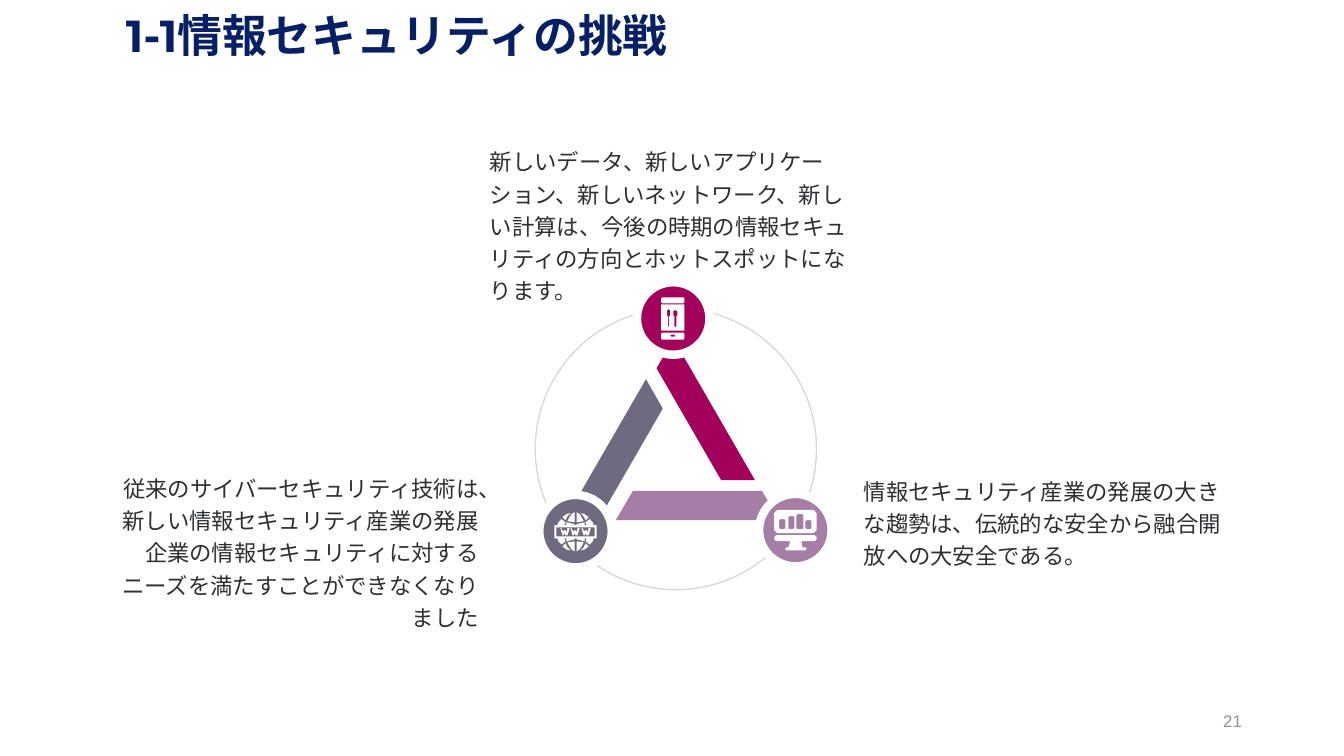
from pptx import Presentation
from pptx import util as u
from pptx.dml.color import RGBColor
from pptx.enum import lang, shapes, text

TITLE = "1-1情報セキュリティの挑戦"
PAGE = "21"
NOTES = [
    ("情報セキュリティ産業の発展の大きな趨勢は、伝統的な安全から融合開放への大安全である。", 617, 353.5, "left"),
    ("従来のサイバーセキュリティ技術は、新しい情報セキュリティ産業の発展企業の情報セキュリティに対するニーズを満たすことができなくなりました", 82.8, 374.4, "right"),
    ("新しいデータ、新しいアプリケーション、新しいネットワーク、新しい計算は、今後の時期の情報セキュリティの方向とホットスポットになります。", 349.9, 141.1, "left"),
]
THEME = {
    "title": "071F65", "body": "2E2F31", "page": "929393", "ring": "D9D9D9", "white": "FFFFFF",
    "crimson": "A3005B", "mauve": "A57DA5", "slate": "706A80",
    "title_font": "Montserrat", "body_font": "Arial",
    "title_size": 32, "body_size": 16, "page_size": 12,
}
BARS = [(442.8, 287.3, 240, "crimson"), (439.9, 350.6, 0, "mauve"), (383, 316.1, 120, "slate")]
BAR_SIZE = (116.6, 20.9)
NODE_SIZE = 51.8
ICON_UNIT = 0.72


def box(x, y, width, height, cut=1):
    right, bottom = x + width, y + height
    return [(x + cut, y), (right - cut, y), (right, y + cut), (right, bottom - cut),
            (right - cut, bottom), (x + cut, bottom), (x, bottom - cut), (x, y + cut)]


def phone_icon():
    return [box(0, 0, 23, 6), box(0, 7, 23, 26, 0), box(0, 35, 23, 7), box(9, 37, 5, 2),
            box(6, 12, 3, 7), box(7, 19, 1, 10, 0), box(12, 13, 4, 6), box(13, 19, 2, 10, 0)]


def globe_icon():
    quarter = [
        [(22, 0), (25, 2), (27, 5), (29, 9), (22, 10)],
        [(26, 1), (30, 2), (34, 5), (31, 8), (29, 4)],
        [(22, 12), (30, 10), (30, 13), (22, 13)],
        [(31, 10), (35, 7), (38, 10), (39, 13), (32, 13)],
    ]
    letter = [(1, 0), (3, 4), (3, 2), (5, 2), (6, 4), (7, 0), (9, 0),
              (7, 7), (5, 7), (4, 5), (3, 7), (2, 7), (0, 0)]
    panels = [[(42 - x if flip_x else x, 39 - y if flip_y else y) for x, y in panel]
              for flip_x in (False, True) for flip_y in (False, True) for panel in quarter]
    letters = [[(left + x, 16 + y) for x, y in letter] for left in (6, 16, 27)]
    return panels + [box(0, 13, 42, 13, 0), box(2, 15, 38, 9, 0)] + letters


def monitor_icon():
    columns = [box(5, 9, 6, 10), box(14, 6, 6, 13), box(22, 4, 7, 15), box(31, 10, 6, 9)]
    stand = [(16, 31), (27, 31), (28, 37), (31, 37), (32, 38), (32, 39), (31, 40),
             (12, 40), (11, 39), (11, 38), (12, 37), (14, 37)]
    return [box(0, 0, 42, 23, 3)] + columns + [box(0, 25, 42, 6, 2), stand]


NODES = [
    (455, 201.6, "crimson", phone_icon(), 472.3, 212.4),
    (385.2, 353.5, "slate", globe_icon(), 396, 365.8),
    (542.2, 352.8, "mauve", monitor_icon(), 553, 364.3),
]


def color(name):
    return RGBColor.from_string(THEME[name])


def add_text(slide, content, x, y, width, height, *, size, ink, font="body_font", bold=False,
             align="left", anchor="middle", spacing=None, inset=None):
    shape = slide.shapes.add_textbox(u.Pt(x), u.Pt(y), u.Pt(width), u.Pt(height))
    frame = shape.text_frame
    frame.word_wrap = True
    frame.vertical_anchor = text.MSO_ANCHOR[anchor.upper()]
    if inset is not None:
        frame.margin_left = frame.margin_right = u.Pt(inset)
        frame.margin_top = frame.margin_bottom = u.Pt(inset)
    paragraph = frame.paragraphs[0]
    paragraph.alignment = text.PP_ALIGN[align.upper()]
    if spacing:
        paragraph.line_spacing = spacing
    run = paragraph.add_run()
    run.text = content
    run.font.name = THEME[font]
    run.font.size = u.Pt(THEME[size])
    run.font.bold = bold
    run.font.color.rgb = color(ink)
    run.font.language_id = lang.MSO_LANGUAGE_ID.JAPANESE


def paint(shape, fill=None, line=None, weight=0):
    shape.shadow.inherit = False
    if fill:
        shape.fill.solid()
        shape.fill.fore_color.rgb = color(fill)
    else:
        shape.fill.background()
    if line:
        shape.line.color.rgb = color(line)
        shape.line.width = u.Pt(weight)
    else:
        shape.line.fill.background()


def add_preset(slide, kind, x, y, width, height, **style):
    shape = slide.shapes.add_shape(kind, u.Pt(x), u.Pt(y), u.Pt(width), u.Pt(height))
    paint(shape, **style)
    return shape


def add_icon(slide, contours, x, y):
    builder = slide.shapes.build_freeform(*contours[0][0], scale=u.Pt(ICON_UNIT))
    for index, contour in enumerate(contours):
        if index:
            builder.move_to(*contour[0])
        builder.add_line_segments(contour[1:], close=True)
    paint(builder.convert_to_shape(u.Pt(x), u.Pt(y)), fill="white")


def main():
    presentation = Presentation()
    presentation.slide_width, presentation.slide_height = u.Pt(960), u.Pt(540)
    slide = presentation.slides.add_slide(presentation.slide_layouts[6])
    add_text(slide, TITLE, 82.8, 6.5, 870.5, 55.4, size="title_size", ink="title",
             font="title_font", bold=True, anchor="top", spacing=0.9)
    add_text(slide, PAGE, 678.2, 500.4, 216, 28.8, size="page_size", ink="page", align="right")

    oval = shapes.MSO_SHAPE.OVAL
    add_preset(slide, oval, 382.3, 220.3, 200.9, 200.9, line="ring", weight=1)
    for x, y, rotation, fill in BARS:
        bar = add_preset(slide, shapes.MSO_SHAPE.TRAPEZOID, x, y, *BAR_SIZE, fill=fill)
        bar.adjustments[0] = 0.584
        bar.rotation = rotation
    for x, y, fill, contours, icon_x, icon_y in NODES:
        add_preset(slide, oval, x, y, NODE_SIZE, NODE_SIZE, fill=fill, line="white", weight=6)
        add_icon(slide, contours, icon_x, icon_y)
    for content, x, y, align in NOTES:
        add_text(slide, content, x, y, 259.2, 37.4, size="body_size", ink="body",
                 align=align, spacing=1.2, inset=0)
    presentation.save("out.pptx")


if __name__ == "__main__":
    main()
